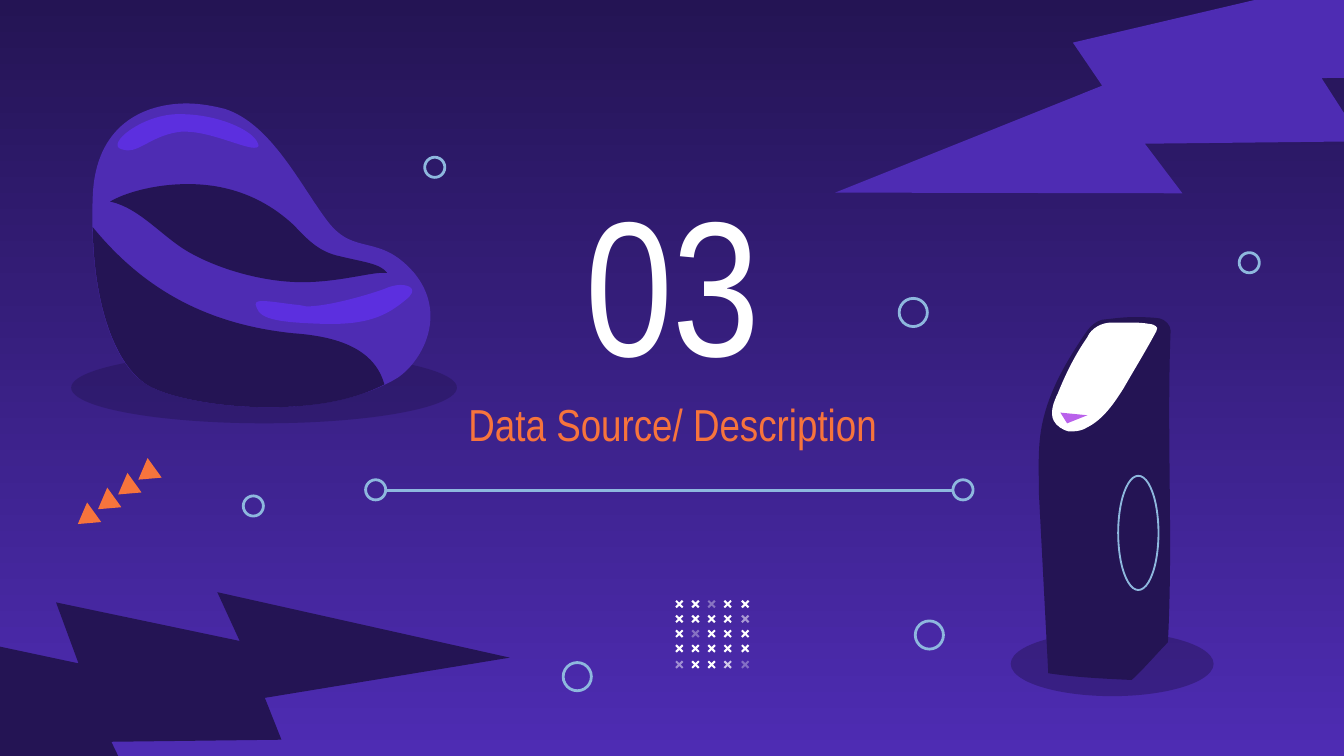
from dataclasses import dataclass
from typing import Any, Optional

from lxml.etree import SubElement
from pptx import Presentation
from pptx.dml.color import RGBColor as Rgb
from pptx.enum.shapes import MSO_CONNECTOR as Link, MSO_SHAPE as Form
from pptx.enum.text import MSO_ANCHOR as Anchor, PP_ALIGN as Align
from pptx.oxml.ns import qn
from pptx.util import Emu, Pt

PX = 9144
WIDTH = 1000
FONT = "Arial Narrow"
COLORS = {
    "night": "241454",
    "violet": "4E2CB3",
    "gloss": "5C2FDF",
    "sky": "8EB8DE",
    "orange": "F7743C",
    "pink": "B961EB",
    "white": "FFFFFF",
}


@dataclass(frozen=True)
class Figure:
    form: Form
    left: int
    top: int
    width: int
    height: int
    fill: Optional[str] = None
    alpha: int = 100
    rotation: float = 0
    flipped: bool = False
    adjust: Optional[float] = None
    line_pt: float = 1.5


@dataclass(frozen=True)
class Outline:
    fill: str
    start: tuple[int, int]
    segments: tuple[tuple[int, ...], ...]


@dataclass(frozen=True)
class Heading:
    text: str
    left: int
    top: int
    width: int
    height: int
    size: int
    color: str


def px(length: float) -> Emu:
    return Emu(round(length * PX))


def rgb(name: str) -> Rgb:
    return Rgb.from_string(COLORS[name])


def apply_format(target: Any, values: dict[str, Any]) -> None:
    for name, value in values.items():
        setattr(target, name, value)


def paint(shape: Any, color: str, alpha: int = 100) -> None:
    shape.shadow.inherit = False
    shape.fill.solid()
    shape.fill.fore_color.rgb = rgb(color)
    shape.line.fill.background()
    if alpha < 100:
        tint = shape.element.spPr.find(f"{qn('a:solidFill')}/{qn('a:srgbClr')}")
        SubElement(tint, qn("a:alpha")).set("val", str(alpha * 1000))


def stroke(line: Any, width_pt: float = 1.5) -> None:
    line.color.rgb = rgb("sky")
    line.width = Pt(width_pt)


def draw_figure(slide: Any, figure: Figure) -> None:
    box = (figure.left, figure.top, figure.width, figure.height)
    shape = slide.shapes.add_shape(figure.form, *map(px, box))
    shape.rotation = figure.rotation
    if figure.flipped:
        shape.element.spPr.find(qn("a:xfrm")).set("flipH", "1")
    if figure.adjust is not None:
        shape.adjustments[0] = figure.adjust
    if figure.fill:
        paint(shape, figure.fill, figure.alpha)
    else:
        shape.shadow.inherit = False
        shape.fill.background()
        stroke(shape.line, figure.line_pt)


def bend_edges(shape: Any, segments: tuple[tuple[int, ...], ...]) -> None:
    edges = list(shape.element.spPr.iter(qn("a:lnTo")))
    for edge, segment in zip(edges, segments):
        if len(segment) == 2:
            continue
        curve = SubElement(edge.getparent(), qn("a:cubicBezTo"))
        for x, y in zip(segment[0::2], segment[1::2]):
            point = SubElement(curve, qn("a:pt"))
            point.set("x", str(px(x) - shape.left))
            point.set("y", str(px(y) - shape.top))
        edge.getparent().replace(edge, curve)


def draw_outline(slide: Any, outline: Outline) -> None:
    corners = [(px(x), px(y)) for *_, x, y in (outline.start, *outline.segments)]
    builder = slide.shapes.build_freeform(*corners[0], scale=1.0)
    builder.add_line_segments(corners[1:], close=True)
    shape = builder.convert_to_shape()
    bend_edges(shape, outline.segments)
    paint(shape, outline.fill)


def draw_heading(slide: Any, heading: Heading) -> None:
    box = (heading.left, heading.top, heading.width, heading.height)
    frame = slide.shapes.add_textbox(*map(px, box)).text_frame
    margins = {f"margin_{side}": px(10) for side in ("left", "right", "top", "bottom")}
    apply_format(frame, {"word_wrap": True, "vertical_anchor": Anchor.MIDDLE, **margins})
    paragraph = frame.paragraphs[0]
    paragraph.alignment = Align.CENTER
    run = paragraph.add_run()
    run.text = heading.text
    apply_format(run.font, {"name": FONT, "size": Pt(heading.size), "bold": False})
    run.font.color.rgb = rgb(heading.color)


def draw_divider(slide: Any) -> None:
    ends = (709, 365, 288, 365)
    divider = slide.shapes.add_connector(Link.STRAIGHT, *map(px, ends))
    stroke(divider.line)
    SubElement(divider.element.spPr, qn("a:effectLst"))


def paint_background(slide: Any) -> None:
    fill = slide.background.fill
    fill.gradient()
    fill.gradient_angle = 270
    for stop, color, position in zip(fill.gradient_stops, ("night", "violet"), (0, 1)):
        stop.color.rgb = rgb(color)
        stop.position = position


TOP_BOLT = Figure(Form.LIGHTNING_BOLT, 698, -141, 417, 417, "violet", rotation=30.1, flipped=True)
LOW_BOLT = Figure(Form.LIGHTNING_BOLT, -55, 320, 360, 360, "night", rotation=222.6, flipped=True)
HEADINGS = (
    Heading("03", 379, 147, 243, 122, 103, "white"),
    Heading("Data Source/ Description", 268, 284, 465, 63, 24, "orange"),
)
CHAIR_SHADOW = Figure(Form.OVAL, 53, 262, 287, 53, "night", 46)
KIOSK_SHADOW = Figure(Form.OVAL, 752, 470, 151, 48, "night", 46)
CHAIR = (
    Outline("violet", (139, 77), (
        (149, 77, 159, 79, 167, 81), (202, 92, 224, 139, 244, 165),
        (264, 191, 282, 173, 308, 203), (333, 233, 315, 268, 296, 281),
        (270, 297, 234, 303, 200, 303), (160, 303, 123, 295, 109, 286),
        (83, 270, 66, 217, 69, 146), (71, 93, 107, 77, 139, 77))),
    Outline("night", (69, 169), (
        (105, 213, 151, 241, 218, 248), (246, 250, 278, 257, 286, 286),
        (261, 299, 230, 303, 200, 303), (160, 303, 123, 295, 109, 286),
        (86, 271, 70, 228, 69, 169))),
    Outline("night", (140, 137), (
        (165, 137, 193, 144, 218, 167), (227, 176, 235, 186, 250, 190),
        (270, 195, 283, 196, 288, 203), (287, 203, 286, 203, 285, 203),
        (275, 203, 251, 210, 225, 210), (197, 210, 165, 201, 143, 189),
        (122, 178, 105, 155, 82, 150), (92, 144, 114, 137, 140, 137))),
    Outline("gloss", (135, 85), (
        (160, 85, 188, 96, 192, 107), (193, 109, 192, 110, 189, 110),
        (181, 110, 156, 98, 138, 98), (137, 98, 136, 98, 135, 98),
        (115, 100, 105, 112, 95, 112), (93, 112, 91, 111, 90, 111),
        (79, 107, 105, 86, 131, 85), (132, 85, 134, 85, 135, 85))),
    Outline("gloss", (298, 212), (
        (306, 212, 311, 216, 302, 223), (290, 233, 277, 241, 247, 241),
        (245, 241, 244, 241, 242, 241), (209, 240, 194, 238, 191, 229),
        (189, 225, 191, 224, 195, 224), (202, 224, 212, 226, 223, 227),
        (225, 228, 226, 228, 228, 228), (245, 228, 275, 219, 286, 215),
        (290, 213, 295, 212, 298, 212))),
)
KIOSK = (
    Outline("night", (843, 236), (
        (836, 236, 829, 237, 820, 238), (816, 239, 812, 242, 809, 246),
        (794, 268, 780, 291, 775, 318), (772, 334, 773, 350, 773, 367),
        (780, 501), (800, 504, 820, 505, 842, 506),
        (850, 499, 861, 486, 869, 478), (873, 401, 868, 324, 871, 246),
        (871, 242, 867, 238, 863, 237), (856, 236, 849, 236, 843, 236))),
    Outline("white", (839, 240), (
        (835, 240, 831, 240, 827, 240), (820, 240, 812, 244, 809, 251),
        (800, 264, 793, 278, 787, 293), (784, 299, 781, 307, 784, 313),
        (786, 317, 791, 320, 795, 321), (796, 321, 797, 321, 798, 321),
        (802, 321, 806, 320, 809, 318), (821, 312, 829, 300, 836, 289),
        (844, 275, 852, 262, 859, 249), (860, 247, 861, 246, 861, 244),
        (860, 242, 857, 241, 855, 241), (850, 240, 844, 240, 839, 240))),
    Outline("pink", (789, 307), ((794, 315), (809, 309))),
)
KIOSK_RING = Figure(Form.OVAL, 832, 354, 30, 85, line_pt=1)
CIRCLES = tuple(Figure(Form.OVAL, left, top, size, size) for left, top, size in (
    (272, 357, 15), (709, 357, 15), (316, 117, 15), (181, 369, 15),
    (669, 222, 21), (681, 462, 21), (419, 493, 21), (922, 188, 15)))
ARROWS = tuple(
    Figure(Form.ISOSCELES_TRIANGLE, 100 - 15 * i, 345 + 11 * i, 18, 15, "orange", rotation=234.2)
    for i in range(4))
FADED = {(0, 2): 36, (1, 4): 53, (2, 1): 34, (4, 0): 48, (4, 3): 75, (4, 4): 33}
CROSSES = tuple(
    Figure(Form.CROSS, 502 + 49 * col // 4, 446 + 45 * row // 4, 7, 7, "white",
           FADED.get((row, col), 100), rotation=315, adjust=0.39)
    for row in range(5) for col in range(5))


def main() -> None:
    deck = Presentation()
    apply_format(deck, {"slide_width": px(WIDTH), "slide_height": px(WIDTH * 9 / 16)})
    slide = deck.slides.add_slide(deck.slide_layouts[6])
    paint_background(slide)
    draw_figure(slide, TOP_BOLT)
    for heading in HEADINGS:
        draw_heading(slide, heading)
    for shadow, outlines in ((CHAIR_SHADOW, CHAIR), (KIOSK_SHADOW, KIOSK)):
        draw_figure(slide, shadow)
        for outline in outlines:
            draw_outline(slide, outline)
    for figure in (KIOSK_RING, LOW_BOLT):
        draw_figure(slide, figure)
    draw_divider(slide)
    for figure in CIRCLES + ARROWS + CROSSES:
        draw_figure(slide, figure)
    deck.save("out.pptx")


if __name__ == "__main__":
    main()
